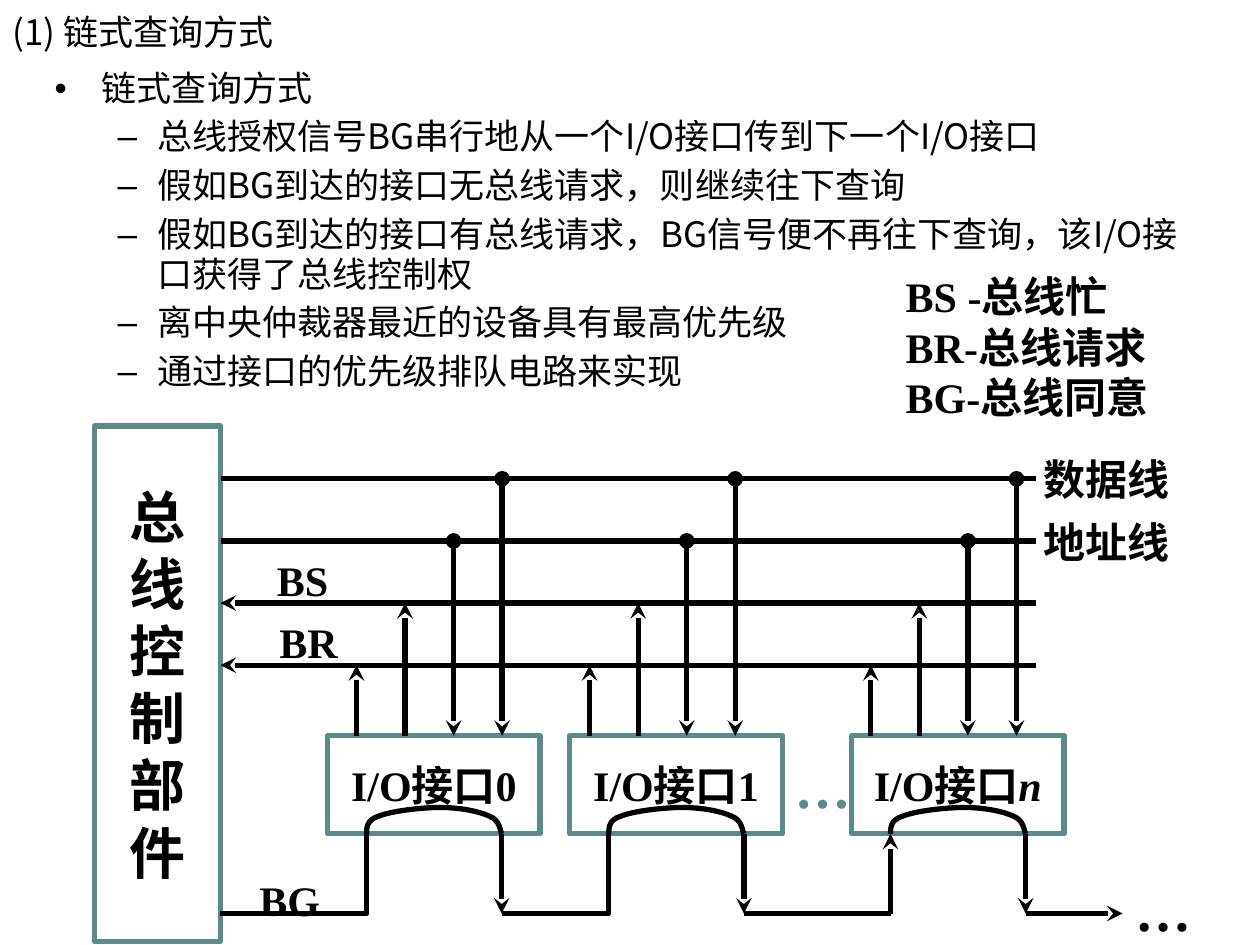
"""Build a slide explaining daisy-chain bus arbitration."""
from dataclasses import dataclass

import pptx
import pptx.dml.color
import pptx.enum.shapes
import pptx.enum.text
import pptx.oxml.ns
import pptx.util
from lxml import etree
from pptx.util import Pt

BLACK = pptx.dml.color.RGBColor(0x00, 0x00, 0x00)
TEAL = pptx.dml.color.RGBColor(0x5C, 0x8A, 0x8A)
SANS = "Noto Sans CJK SC"
SERIF = "Times New Roman"
ALIGN = pptx.enum.text.PP_ALIGN
ANCHOR = pptx.enum.text.MSO_ANCHOR
AUTO_SIZE = pptx.enum.text.MSO_AUTO_SIZE
Point = tuple[float, float]

BUS_LEFT, BUS_RIGHT = 126, 592
DATA_Y, ADDRESS_Y, BS_Y, BR_Y = (273.6 + 35.5 * row for row in range(4))
BOX_TOP, BOX_WIDTH, BOX_HEIGHT = 420.5, 121.5, 56
BOX_BOTTOM = BOX_TOP + BOX_HEIGHT
GRANT_Y = 522
TAP_STEP = 27.75
ARCH = [(0, 0), (0, -3.6), (0, -7.9), (6.8, -10.1), (13.7, -13), (31.7, -15.1),
        (42, -15.1), (52.6, -15.1), (64.1, -13), (70.2, -10.1),
        (76.3, -7.9), (76.3, -1.4), (77.2, 0)]
BULLETS = [
    (0, "链式查询方式"),
    (1, "总线授权信号BG串行地从一个I/O接口传到下一个I/O接口"),
    (1, "假如BG到达的接口无总线请求，则继续往下查询"),
    (1, "假如BG到达的接口有总线请求，BG信号便不再往下查询，该I/O接口获得了总线控制权"),
    (1, "离中央仲裁器最近的设备具有最高优先级"),
    (1, "通过接口的优先级排队电路来实现"),
]


@dataclass(frozen=True)
class Interface:
    left: float
    first_tap: float
    number: str
    italic: bool = False

    @property
    def grant_in(self) -> float:
        return self.left + 22.3

    @property
    def grant_out(self) -> float:
        return self.grant_in + ARCH[-1][0]


@dataclass(frozen=True)
class Label:
    left: float
    top: float
    width: float
    height: float
    lines: tuple[str, ...]
    size: float = 24
    color: pptx.dml.color.RGBColor = BLACK


INTERFACES = [
    Interface(187.2, 203.7, "0"),
    Interface(325.6, 336.9, "1"),
    Interface(486.6, 497.6, "n", True),
]
LABELS = [
    Label(447, 426.2, 46, 46, ("…",), 32, TEAL),
    Label(641.5, 497, 46, 46, ("…",), 32),
    Label(151.2, 313.4, 44, 36, ("BS",)),
    Label(152.6, 349, 47.5, 36, ("BR",)),
    Label(141.1, 496.1, 49, 36, ("BG",)),
    Label(589, 255.8, 86.4, 36, ("数据线",)),
    Label(589, 291.4, 86.4, 36, ("地址线",)),
    Label(510.5, 151.2, 158.4, 93.6, ("BS -总线忙", "BR-总线请求", "BG-总线同意")),
]


def place(shape, left: float, top: float, width: float, height: float) -> None:
    shape.left, shape.top = Pt(left), Pt(top)
    shape.width, shape.height = Pt(width), Pt(height)


def style_font(font, name: str, size: float, color=BLACK, bold: bool = False) -> None:
    font.name, font.size, font.bold = name, Pt(size), bold
    font.color.rgb = color


def style_line(line, color=BLACK) -> None:
    line.color.rgb = color
    line.width = Pt(3)


def write_lines(frame, lines, size: float, color=BLACK, align=ALIGN.LEFT) -> None:
    frame.word_wrap = False
    for index, text in enumerate(lines):
        para = frame.paragraphs[0] if index == 0 else frame.add_paragraph()
        para.add_run().text = text
        para.alignment = align
        style_font(para.font, SERIF, size, color, True)


def add_box(page, left: float, top: float, width: float, height: float, lines, size: float):
    box = page.shapes.add_shape(pptx.enum.shapes.MSO_SHAPE.RECTANGLE,
                                Pt(left), Pt(top), Pt(width), Pt(height))
    box.shadow.inherit = False
    box.fill.background()
    style_line(box.line, TEAL)
    box.text_frame.vertical_anchor = ANCHOR.MIDDLE
    write_lines(box.text_frame, lines, size, align=ALIGN.CENTER)
    return box


def add_wire(page, start: Point, end: Point, head: str = "", tail: str = "") -> None:
    wire = page.shapes.add_connector(pptx.enum.shapes.MSO_CONNECTOR.STRAIGHT,
                                     *(Pt(value) for value in start + end))
    style_line(wire.line)
    outline = wire.line._get_or_add_ln()
    for tag, kind in (("a:headEnd", head), ("a:tailEnd", tail)):
        if kind:
            etree.SubElement(outline, pptx.oxml.ns.qn(tag), type=kind)
    etree.SubElement(outline.getparent(), pptx.oxml.ns.qn("a:effectLst"))


def add_path(page, points: list[Point]) -> None:
    start, *others = [(Pt(x), Pt(y)) for x, y in points]
    builder = page.shapes.build_freeform(*start)
    builder.add_line_segments(others, close=False)
    path = builder.convert_to_shape()
    path.shadow.inherit = False
    path.fill.background()
    style_line(path.line)


def arch_points(left: float, steps: int = 8) -> list[Point]:
    points = [(left, BOX_BOTTOM)]
    for first in range(0, len(ARCH) - 1, 3):
        controls = ARCH[first:first + 4]
        for step in range(1, steps + 1):
            t = step / steps
            weights = ((1 - t) ** 3, 3 * t * (1 - t) ** 2, 3 * t * t * (1 - t), t ** 3)
            x, y = (sum(w * c[axis] for w, c in zip(weights, controls)) for axis in (0, 1))
            points.append((left + x, BOX_BOTTOM + y))
    return points


def add_interface(page, unit: Interface) -> None:
    box = add_box(page, unit.left, BOX_TOP, BOX_WIDTH, BOX_HEIGHT, ["I/O接口"], 24)
    span = box.text_frame.paragraphs[0].add_run()
    span.text = unit.number
    if unit.italic:
        span.font.italic = True
    taps = [unit.first_tap + TAP_STEP * index for index in range(4)]
    for x, bus_y in zip(taps[:2], (BR_Y, BS_Y)):
        add_wire(page, (x, BOX_TOP), (x, bus_y), tail="stealth")
    for x, bus_y in zip(taps[2:], (ADDRESS_Y, DATA_Y)):
        add_wire(page, (x, bus_y), (x, BOX_TOP), head="oval", tail="stealth")
    add_path(page, arch_points(unit.grant_in))
    add_wire(page, (unit.grant_out, BOX_BOTTOM), (unit.grant_out, GRANT_Y), tail="stealth")


def add_grant_chain(page) -> None:
    first, second, last = INTERFACES
    for start, end in ((BUS_LEFT, first.grant_in), (first.grant_out, second.grant_in)):
        add_path(page, [(start, GRANT_Y), (end, GRANT_Y), (end, BOX_BOTTOM)])
    add_wire(page, (second.grant_out, GRANT_Y), (last.grant_in, GRANT_Y))
    add_wire(page, (last.grant_in, GRANT_Y), (last.grant_in, BOX_BOTTOM), tail="stealth")
    add_wire(page, (last.grant_out, GRANT_Y), (641.5, GRANT_Y), tail="stealth")


def add_label(page, label: Label) -> None:
    box = page.shapes.add_textbox(Pt(label.left), Pt(label.top), Pt(label.width), Pt(label.height))
    box.text_frame.auto_size = AUTO_SIZE.SHAPE_TO_FIT_TEXT
    write_lines(box.text_frame, label.lines, label.size, label.color)


def fill_placeholders(page) -> None:
    title, body = page.placeholders
    place(title, 0, 0, 720, 36)
    place(body, 24, 36, 672, 200)
    for holder in (title, body):
        holder.text_frame.auto_size = AUTO_SIZE.NONE
    title.text_frame.text = "(1) 链式查询方式"
    title.text_frame.vertical_anchor = ANCHOR.MIDDLE
    body.text_frame.text = "\n".join(text for _, text in BULLETS)
    for para, (level, _) in zip(body.text_frame.paragraphs, BULLETS):
        para.level = level
        para.line_spacing, para.space_before = 0.95, Pt(5)
    for para in (*title.text_frame.paragraphs, *body.text_frame.paragraphs):
        para.alignment = ALIGN.LEFT
        style_font(para.font, SANS, 20)


def main() -> None:
    deck = pptx.Presentation()
    deck.slide_width, deck.slide_height = Pt(720), Pt(540)
    page = deck.slides.add_slide(deck.slide_layouts[1])
    fill_placeholders(page)
    add_box(page, 54, 243.4, 72, 294.5, "总线控制部件", 32)
    for y, head in ((DATA_Y, ""), (ADDRESS_Y, ""), (BS_Y, "stealth"), (BR_Y, "stealth")):
        add_wire(page, (BUS_LEFT, y), (BUS_RIGHT, y), head=head)
    for unit in INTERFACES:
        add_interface(page, unit)
    add_grant_chain(page)
    for label in LABELS:
        add_label(page, label)
    deck.save("out.pptx")


if __name__ == "__main__":
    main()
